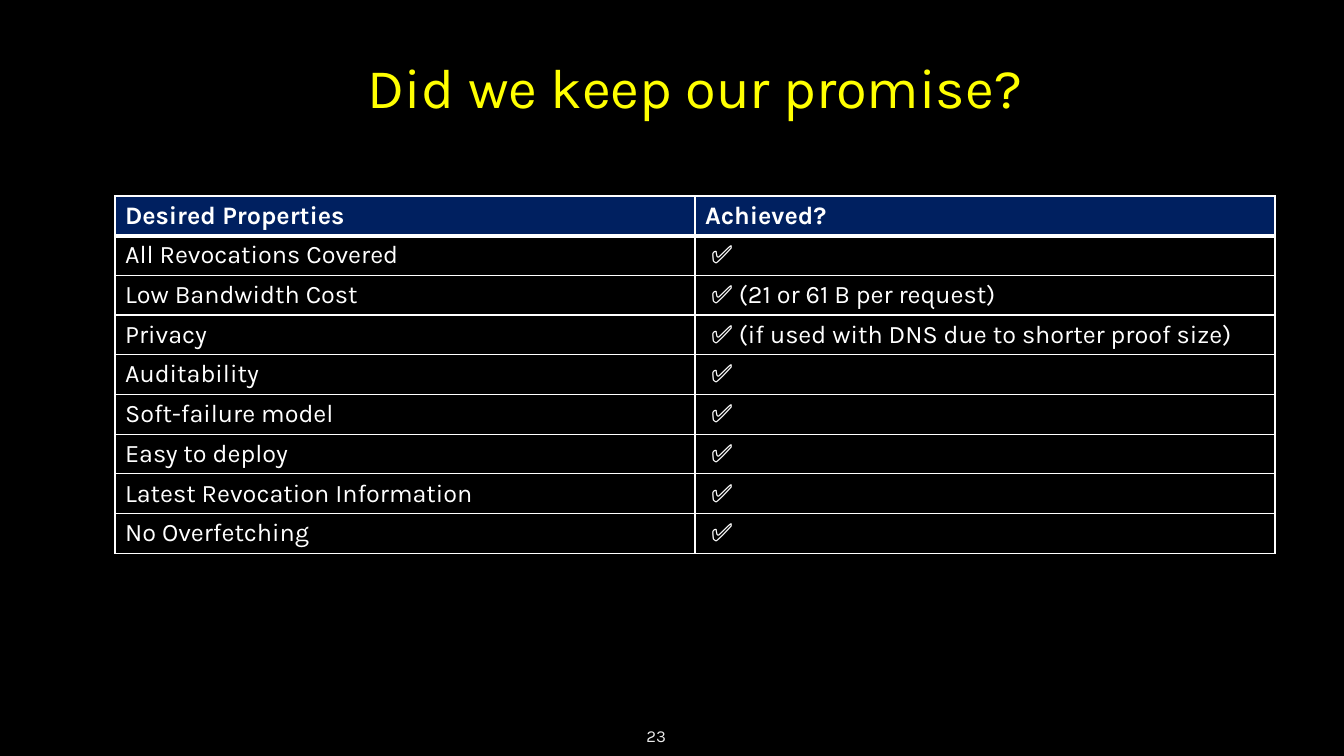
"""Builds the slide that checks the promised properties in a table."""
from lxml import etree
from pptx import Presentation
from pptx import util as u
from pptx.dml.color import RGBColor
from pptx.enum import text
from pptx.oxml.ns import qn

PX = 914400 / 100.8
THEME = {
    "font": "Karla", "bg": "000000", "title": "FFFF00", "text": "FFFFFF",
    "header": "002060", "number": "EAEAEA",
    "title_pt": 40, "table_pt": 18, "number_pt": 12, "line_pt": 1, "rule_pt": 3,
}
CHECK = " ✅"
ROWS = [
    ("Desired Properties", "Achieved?"),
    ("All Revocations Covered", CHECK),
    ("Low Bandwidth Cost", CHECK + " (21 or 61 B per request)"),
    ("Privacy", CHECK + " (if used with DNS due to shorter proof size)"),
    ("Auditability", CHECK),
    ("Soft-failure model", CHECK),
    ("Easy to deploy", CHECK),
    ("Latest Revocation Information", CHECK),
    ("No Overfetching", CHECK),
]


def px(*lengths):
    return [u.Emu(round(n * PX)) for n in lengths]


def write(tf, words, size, color, bold=False, align=None):
    tf.text = words
    p = tf.paragraphs[0]
    p.alignment = align
    f = p.runs[0].font
    f.name, f.size, f.bold = THEME["font"], u.Pt(THEME[size]), bold
    f.color.rgb = RGBColor.from_string(THEME[color])
    return p


prs = Presentation()
prs.slide_width, prs.slide_height = px(1344, 756)
s = prs.slides.add_slide(prs.slide_layouts[5])
s.background.fill.solid()
s.background.fill.fore_color.rgb = RGBColor.from_string(THEME["bg"])

title = s.shapes.title
title.left, title.top, title.width, title.height = px(90, 52, 1210, 74)
p = write(title.text_frame, "Did we keep our promise?", "title_pt", "title",
          align=text.PP_ALIGN.CENTER)
p.line_spacing = 0.9
title.text_frame.vertical_anchor = text.MSO_ANCHOR.BOTTOM
title.text_frame.auto_size = text.MSO_AUTO_SIZE.NONE

row_h = 39
table = s.shapes.add_table(len(ROWS), 2, *px(115, 196, 1160, row_h * len(ROWS))).table
for row in table.rows:
    row.height = px(row_h)[0]
for i, row in enumerate(ROWS):
    for j, words in enumerate(row):
        cell = table.cell(i, j)
        write(cell.text_frame, words, "table_pt", "text", bold=i == 0)
        tcPr = cell._tc.get_or_add_tcPr()
        for side in "LRTB":
            thick = (i, side) in ((0, "B"), (1, "T"))
            width = THEME["rule_pt" if thick else "line_pt"]
            ln = etree.SubElement(tcPr, qn(f"a:ln{side}"), w=str(u.Pt(width)))
            fill = etree.SubElement(ln, qn("a:solidFill"))
            etree.SubElement(fill, qn("a:srgbClr"), val=THEME["text"])
        if i == 0:
            cell.fill.solid()
            cell.fill.fore_color.rgb = RGBColor.from_string(THEME["header"])
        else:
            cell.fill.background()

number = s.shapes.add_textbox(*px(374, 716, 302, 40))
tf = number.text_frame
tf.word_wrap = True
tf.vertical_anchor = text.MSO_ANCHOR.MIDDLE
write(tf, "23", "number_pt", "number", align=text.PP_ALIGN.RIGHT)

prs.save("out.pptx")
